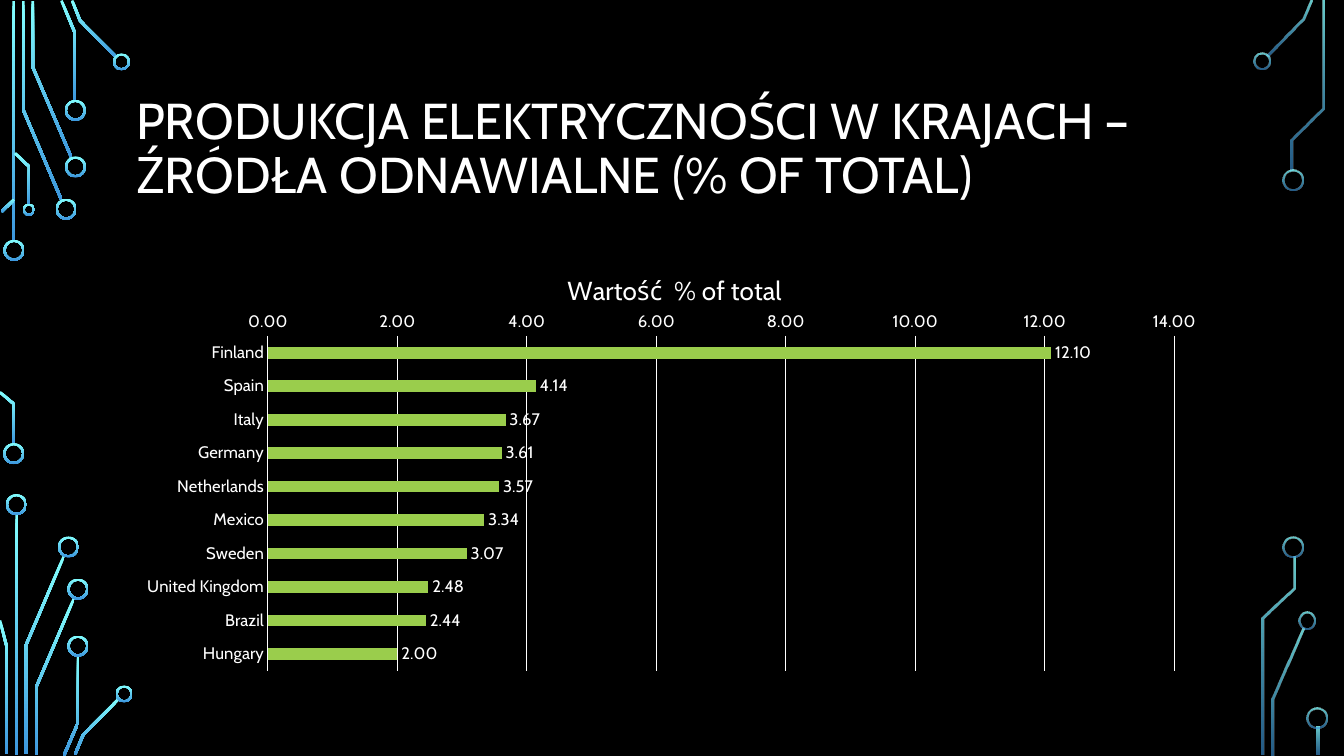
from dataclasses import dataclass
from math import hypot

from lxml.etree import SubElement
from pptx import Presentation
from pptx.chart.data import CategoryChartData
from pptx.dml.color import RGBColor
from pptx.enum.chart import XL_CHART_TYPE as ChartType
from pptx.enum.chart import XL_LABEL_POSITION as LabelPosition
from pptx.enum.chart import XL_TICK_MARK as TickMark
from pptx.enum.shapes import MSO_SHAPE as Preset
from pptx.enum.text import MSO_ANCHOR as Anchor
from pptx.enum.text import MSO_AUTO_SIZE as AutoSize
from pptx.enum.text import PP_ALIGN as Align
from pptx.oxml import parse_xml
from pptx.oxml.ns import nsdecls, qn
from pptx.util import Pt


@dataclass(frozen=True)
class Theme:
    font: str = "Cabin"
    background: RGBColor = RGBColor(0, 0, 0)
    text: RGBColor = RGBColor(255, 255, 255)
    bar: RGBColor = RGBColor(0x9A, 0xCD, 0x4C)
    glow: tuple = (RGBColor(0x82, 0xFF, 0xFF), RGBColor(0x3D, 0x97, 0xDE))
    title_size: float = 36
    chart_title_size: float = 18.6
    label_size: float = 11.9


THEME = Theme()
TRACE_WIDTH = 1.9
RING_WIDTH = 1.45
SOLID = (100, 100)
FADED = (80, 60)

# Circuit decoration, in points: (centre x, top, height)
LEFT_BUSES = [(9.7, 0.7, 172), (11.9, 367.2, 172)]
RIGHT_BUSES = [(941.3, 519.1, 20)]

LEFT_TRACES = [
    [(44, 143), (16.6, 78.5), (16.6, 0.7)],
    [(51.1, 112.7), (23.4, 47.9), (23.4, 0.7)],
    [(53.6, 72), (53.6, 23.8), (43.9, 0.4)],
    [(83.2, 41), (57.2, 14.8), (51.5, 0.4)],
    [(1.1, 151.2), (10.1, 142.6)],
    [(10.1, 317.5), (10.1, 288.7), (0, 280.1)],
    [(20.9, 146.2), (20.9, 119.2), (10.8, 109.4)],
    [(18.4, 538.6), (18.4, 461.2), (45.7, 397.1)],
    [(4.7, 538.6), (4.7, 461.5), (0, 443.2)],
    [(25.6, 539.3), (25.6, 491.4), (52.9, 427.3)],
    [(45.7, 539.6), (55.8, 516.2), (55.8, 468)],
    [(53.6, 538.9), (59.4, 524.9), (85, 499)],
]
RIGHT_TRACES = [
    [(905, 40), (930.6, 14), (936.4, 0.4)],
    [(909, 539.3), (909, 499.3), (931, 448.9)],
    [(923, 121.7), (923, 99.7), (945, 77.4), (945, 0.7)],
    [(901.8, 539.3), (901.8, 441.7), (924.1, 420.1), (924.1, 397.4)],
]

# Ring ends: (centre x, centre y, diameter)
LEFT_RINGS = [
    (10, 178.8, 15), (9.8, 324, 15), (47.2, 149.4, 15), (53.9, 119.2, 15),
    (53.8, 78.8, 15), (86.8, 44.2, 12.2), (20.6, 149.8, 8.8),
    (11.7, 360.4, 15), (48.9, 390.7, 15), (55.7, 420.8, 15),
    (55.7, 461.5, 15), (88.7, 495.7, 12.2),
]
RIGHT_RINGS = [
    (901.3, 43.5, 12.2), (923.3, 128.6, 15), (933.4, 443.2, 12.4),
    (923.7, 390.7, 15), (940.6, 512.6, 15),
]

COUNTRY_SHARES = {
    "Finland": 12.10, "Spain": 4.14, "Italy": 3.67, "Germany": 3.61,
    "Netherlands": 3.57, "Mexico": 3.34, "Sweden": 3.07,
    "United Kingdom": 2.48, "Brazil": 2.44, "Hungary": 2.00,
}


def style_font(font, size):
    font.name, font.size, font.bold = THEME.font, Pt(size), False
    font.color.rgb = THEME.text


def paint_glow(shape, opacity):
    shape.shadow.inherit = False
    shape.fill.gradient()
    shape.fill.gradient_angle = 270
    for stop, color in zip(shape.fill.gradient_stops, THEME.glow):
        stop.color.rgb = color
    for color, percent in zip(shape._element.iter(qn("a:srgbClr")), opacity):
        if percent < 100:
            SubElement(color, qn("a:alpha")).set("val", str(percent * 1000))
    shape.line.fill.background()


def band_outline(points, width):
    """Closed outline of a mitred band around a centreline."""
    normals = []
    for (x1, y1), (x2, y2) in zip(points, points[1:]):
        length = hypot(x2 - x1, y2 - y1)
        normals.append(((y1 - y2) / length, (x2 - x1) / length))
    near, far = [], []
    for (x, y), (ax, ay), (bx, by) in zip(
            points, normals[:1] + normals, normals + normals[-1:]):
        reach = width / 2 / (1 + ax * bx + ay * by)
        dx, dy = (ax + bx) * reach, (ay + by) * reach
        near.append((Pt(x + dx), Pt(y + dy)))
        far.append((Pt(x - dx), Pt(y - dy)))
    return near + far[::-1]


def add_trace(page, points, opacity):
    start, *rest = band_outline(points, TRACE_WIDTH)
    builder = page.shapes.build_freeform(*start)
    builder.add_line_segments(rest, close=True)
    paint_glow(builder.convert_to_shape(), opacity)


def add_bus(page, x, top, height, opacity):
    bus = page.shapes.add_shape(Preset.RECTANGLE, Pt(x - TRACE_WIDTH / 2),
                                Pt(top), Pt(TRACE_WIDTH), Pt(height))
    paint_glow(bus, opacity)


def add_ring(page, x, y, size, opacity):
    ring = page.shapes.add_shape(Preset.DONUT, Pt(x - size / 2),
                                 Pt(y - size / 2), Pt(size), Pt(size))
    ring.adjustments[0] = RING_WIDTH / size
    paint_glow(ring, opacity)


def add_circuit(page, buses, traces, rings, opacity):
    for bus in buses:
        add_bus(page, *bus, opacity)
    for points in traces:
        add_trace(page, points, opacity)
    for ring in rings:
        add_ring(page, *ring, opacity)


def set_title(page, text):
    title = page.shapes.title
    title.left, title.top, title.width, title.height = (
        Pt(90), Pt(49), Pt(780), Pt(116.6))
    frame = title.text_frame
    frame.text = text
    frame.word_wrap = True
    frame.auto_size = AutoSize.NONE
    frame.vertical_anchor = Anchor.MIDDLE
    para = frame.paragraphs[0]
    para.alignment, para.line_spacing = Align.LEFT, 0.9
    style_font(para.font, THEME.title_size)


def manual_layout(**values):
    items = "".join(f'<c:{name} val="{value}"/>' for name, value in values.items())
    return parse_xml(f'<c:layout {nsdecls("c")}><c:manualLayout>{items}'
                     "</c:manualLayout></c:layout>")


def place_chart_parts(chart):
    plot_area = chart._chartSpace.chart.plotArea
    for layout in plot_area.findall(qn("c:layout")):
        plot_area.remove(layout)
    plot_area.insert(0, manual_layout(
        layoutTarget="inner", xMode="edge", yMode="edge",
        x=0.13, y=0.204, w=0.83, h=0.776))
    title = chart.chart_title._element
    for layout in title.findall(qn("c:layout")):
        title.remove(layout)
    title.find(qn("c:tx")).addnext(
        manual_layout(xMode="edge", yMode="edge", x=0.4, y=0.045))


def style_axes(chart):
    for axis in (chart.category_axis, chart.value_axis):
        axis.major_tick_mark = axis.minor_tick_mark = TickMark.NONE
        style_font(axis.tick_labels.font, THEME.label_size)
    countries, shares = chart.category_axis, chart.value_axis
    countries.reverse_order = True
    shares.minimum_scale, shares.maximum_scale, shares.major_unit = 0, 14, 2
    shares.tick_labels.number_format = "0.00"
    shares.tick_labels.number_format_is_linked = False
    shares.format.line.fill.background()
    for line in (countries.format.line, shares.major_gridlines.format.line):
        line.color.rgb, line.width = THEME.text, Pt(0.75)


def add_share_chart(page, heading, values):
    data = CategoryChartData(number_format="0.00")
    data.categories = list(values)
    data.add_series("Series 1", list(values.values()))
    chart = page.shapes.add_chart(ChartType.BAR_CLUSTERED, Pt(90), Pt(177.1),
                                  Pt(780), Pt(308.2), data).chart
    style_font(chart.font, 10)
    chart.has_legend = False
    chart.has_title = True
    chart.chart_title.include_in_layout = False
    frame = chart.chart_title.text_frame
    frame.text = heading
    style_font(frame.paragraphs[0].font, THEME.chart_title_size)
    style_axes(chart)

    # Bars and their values
    plot = chart.plots[0]
    plot.gap_width, plot.vary_by_categories = 182, False
    fill = plot.series[0].format.fill
    fill.solid()
    fill.fore_color.rgb = THEME.bar
    labels = plot.series[0].data_labels
    labels.show_value, labels.position = True, LabelPosition.OUTSIDE_END
    labels.number_format, labels.number_format_is_linked = "0.00", False
    style_font(labels.font, THEME.label_size)
    place_chart_parts(chart)


def main():
    deck = Presentation()
    deck.slide_width, deck.slide_height = Pt(960), Pt(540)
    page = deck.slides.add_slide(deck.slide_layouts[5])
    page.background.fill.solid()
    page.background.fill.fore_color.rgb = THEME.background
    add_circuit(page, LEFT_BUSES, LEFT_TRACES, LEFT_RINGS, SOLID)
    add_circuit(page, RIGHT_BUSES, RIGHT_TRACES, RIGHT_RINGS, FADED)
    set_title(page, "PRODUKCJA ELEKTRYCZNOŚCI W KRAJACH – "
                    "ŹRÓDŁA ODNAWIALNE (% OF TOTAL)")
    add_share_chart(page, "Wartość  % of total", COUNTRY_SHARES)
    deck.save("out.pptx")


if __name__ == "__main__":
    main()
